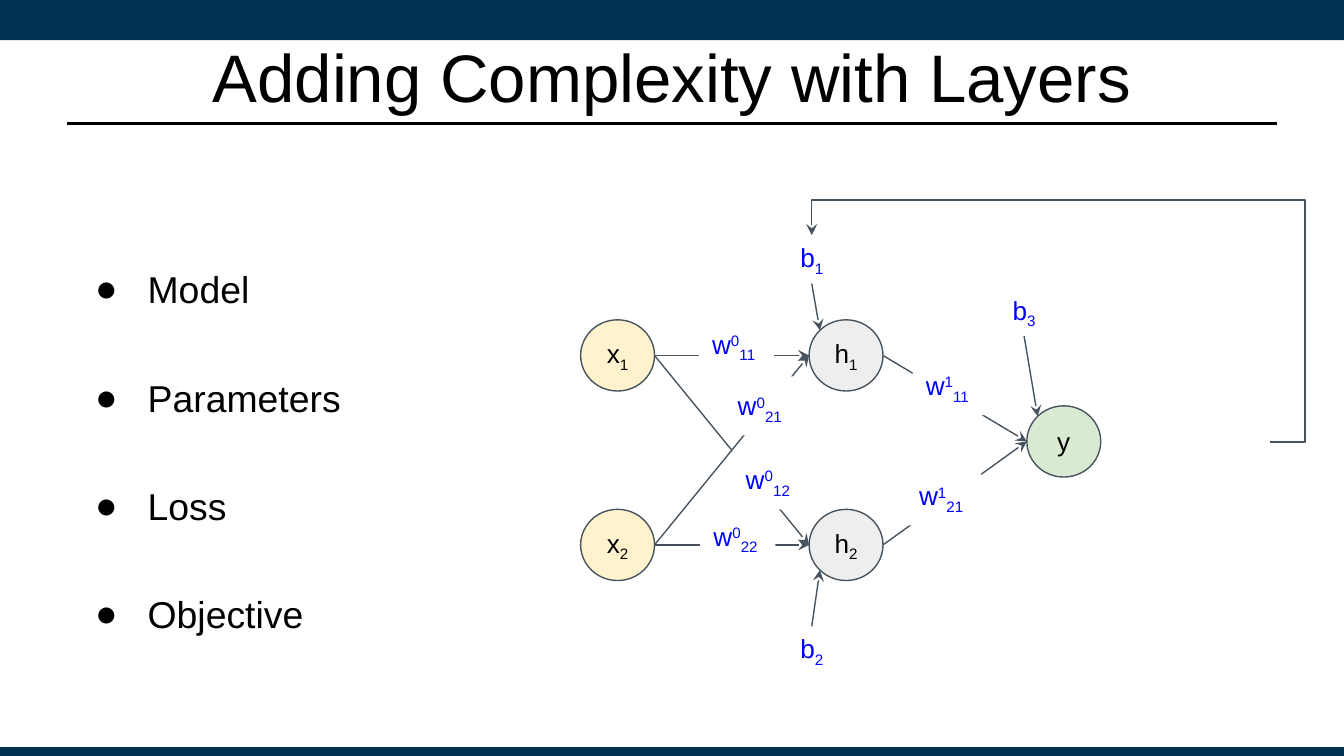
from dataclasses import dataclass

from lxml import etree
from pptx import Presentation
from pptx import util as u
from pptx.dml.color import RGBColor
from pptx.enum import shapes, text
from pptx.oxml.ns import qn

NAVY = RGBColor(0x00, 0x32, 0x52)
BLACK = RGBColor(0x00, 0x00, 0x00)
WHITE = RGBColor(0xFF, 0xFF, 0xFF)
BLUE = RGBColor(0x00, 0x00, 0xFF)
SLATE = RGBColor(0x46, 0x53, 0x5E)
CREAM = RGBColor(0xFF, 0xF2, 0xCC)
GREY = RGBColor(0xEE, 0xEE, 0xEE)
GREEN = RGBColor(0xD9, 0xEA, 0xD3)
FONT = "Arial"
NODE_W, NODE_H = 0.55, 0.53
BIAS_W, BIAS_H = 0.38, 0.36
WEIGHT_W, WEIGHT_H = 0.56, 0.44
DIAGONAL = (1 - 0.5 ** 0.5) / 2


@dataclass(frozen=True)
class Label:
    base: str
    sub: str = ""
    sup: str = ""


@dataclass(frozen=True)
class Node:
    label: Label
    x: float
    y: float
    fill: RGBColor

    @property
    def left(self) -> tuple[float, float]:
        return self.x, self.y + NODE_H / 2

    @property
    def right(self) -> tuple[float, float]:
        return self.x + NODE_W, self.y + NODE_H / 2

    @property
    def upper_left(self) -> tuple[float, float]:
        return self.x + NODE_W * DIAGONAL, self.y + NODE_H * DIAGONAL

    @property
    def lower_left(self) -> tuple[float, float]:
        return self.x + NODE_W * DIAGONAL, self.y + NODE_H * (1 - DIAGONAL)


@dataclass(frozen=True)
class Bias:
    sub: str
    x: float
    y: float
    site: int
    target: tuple[float, float]


@dataclass(frozen=True)
class Weight:
    layer: str
    sub: str
    x: float
    y: float


X1 = Node(Label("x", "1"), 4.32, 2.38, CREAM)
X2 = Node(Label("x", "2"), 4.32, 3.79, CREAM)
H1 = Node(Label("h", "1"), 6.02, 2.38, GREY)
H2 = Node(Label("h", "2"), 6.02, 3.79, GREY)
Y = Node(Label("y"), 7.64, 3.02, GREEN)
LAYERS = [[X1, X2], [H1, H2], [Y]]
BIASES = [
    Bias("1", 5.85, 1.75, 2, H1.upper_left),
    Bias("2", 5.85, 4.66, 0, H2.lower_left),
    Bias("3", 7.43, 2.14, 2, Y.upper_left),
]
WEIGHTS = [
    Weight("0", "11", 5.2, 2.34),
    Weight("0", "22", 5.21, 3.77),
    Weight("0", "21", 5.39, 2.8),
    Weight("0", "12", 5.45, 3.35),
    Weight("1", "11", 6.79, 2.65),
    Weight("1", "21", 6.74, 3.47),
]
TOPICS = ["Model", "Parameters", "Loss", "Objective"]


def set_font(font, size: float, color: RGBColor) -> None:
    font.name = FONT
    font.size = u.Pt(size)
    font.color.rgb = color


def add_block(s, kind, x: float, y: float, w: float, h: float,
              fill: RGBColor, line: RGBColor | None = None):
    sp = s.shapes.add_shape(kind, u.Inches(x), u.Inches(y), u.Inches(w), u.Inches(h))
    sp.shadow.inherit = False
    sp.fill.solid()
    sp.fill.fore_color.rgb = fill
    if line is None:
        sp.line.fill.background()
    else:
        sp.line.color.rgb = line
        sp.line.width = u.Pt(0.75)
    return sp


def write_label(sp, label: Label, color: RGBColor, centred: bool = True) -> None:
    tf = sp.text_frame
    tf.margin_left = tf.margin_right = tf.margin_top = tf.margin_bottom = u.Inches(0.1)
    tf.word_wrap = not centred
    tf.vertical_anchor = text.MSO_ANCHOR.MIDDLE if centred else text.MSO_ANCHOR.TOP
    p = tf.paragraphs[0]
    p.alignment = text.PP_ALIGN.CENTER if centred else text.PP_ALIGN.LEFT
    for content, baseline in ((label.base, 0), (label.sup, 30000), (label.sub, -25000)):
        if content:
            r = p.add_run()
            r.text = content
            set_font(r.font, 14, color)
            if baseline:
                r.font._element.set("baseline", str(baseline))


def add_line(s, start: tuple[float, float], end: tuple[float, float],
             kind=shapes.MSO_CONNECTOR.STRAIGHT, color: RGBColor = SLATE,
             width: float = 0.75, arrow: bool = True):
    cx = s.shapes.add_connector(kind, *(u.Inches(v) for v in (*start, *end)))
    cx.line.color.rgb = color
    cx.line.width = u.Pt(width)
    if arrow:
        etree.SubElement(cx.line._get_or_add_ln(), qn("a:tailEnd"), type="stealth")
    etree.SubElement(cx._element.spPr, qn("a:effectLst"))
    return cx


def add_feedback(s, start: tuple[float, float], end: tuple[float, float], box) -> None:
    cx = add_line(s, start, end, shapes.MSO_CONNECTOR.ELBOW)
    cx.end_connect(box, 0)
    geom = cx._element.spPr.find(qn("a:prstGeom"))
    geom.set("prst", "bentConnector4")
    guides = geom.get_or_add_avLst()
    for name, value in (("adj1", -7600), ("adj2", 116900)):
        etree.SubElement(guides, qn("a:gd"), name=name, fmla=f"val {value}")


def add_title(s, title: str) -> None:
    sp = s.shapes.add_textbox(u.Inches(0.5), u.Inches(0.25), u.Inches(9), u.Inches(0.63))
    tf = sp.text_frame
    tf.word_wrap = True
    tf.vertical_anchor = text.MSO_ANCHOR.MIDDLE
    tf.text = title
    p = tf.paragraphs[0]
    p.alignment = text.PP_ALIGN.CENTER
    set_font(p.runs[0].font, 36, BLACK)


def add_topics(s, topics: list[str]) -> None:
    sp = s.shapes.add_textbox(u.Inches(0.5), u.Inches(1.55), u.Inches(3.31), u.Inches(2.98))
    tf = sp.text_frame
    tf.word_wrap = True
    tf.margin_top = tf.margin_bottom = u.Inches(0.1)
    for i, topic in enumerate(topics):
        p = tf.add_paragraph() if i else tf.paragraphs[0]
        p.text = topic
        p.line_spacing = 2.0
        if i:
            p.space_before = u.Pt(10)
        pPr = p._p.get_or_add_pPr()
        pPr.set("marL", str(u.Inches(0.5)))
        pPr.set("indent", str(u.Inches(-0.39)))
        etree.SubElement(pPr, qn("a:buFont"), typeface=FONT)
        etree.SubElement(pPr, qn("a:buChar"), char="●")
        set_font(p.runs[0].font, 20, BLACK)


def main() -> None:
    prs = Presentation()
    prs.slide_width = u.Inches(10)
    prs.slide_height = prs.slide_width * 9 // 16
    s = prs.slides.add_slide(prs.slide_layouts[6])
    rect, oval = shapes.MSO_SHAPE.RECTANGLE, shapes.MSO_SHAPE.OVAL

    add_block(s, rect, 0, 0, 10, 0.3, NAVY)
    add_block(s, rect, 0, 5.56, 10, 0.08, NAVY)
    add_line(s, (0.5, 0.92), (9.5, 0.92), color=BLACK, width=1.25, arrow=False)
    add_title(s, "Adding Complexity with Layers")
    add_topics(s, TOPICS)

    for layer in LAYERS:
        for node in layer:
            sp = add_block(s, oval, node.x, node.y, NODE_W, NODE_H, node.fill, SLATE)
            write_label(sp, node.label, BLACK)
    for sources, targets in zip(LAYERS, LAYERS[1:]):
        for source in sources:
            for target in targets:
                add_line(s, source.right, target.left)

    boxes = []
    for bias in BIASES:
        sp = add_block(s, rect, bias.x, bias.y, BIAS_W, BIAS_H, WHITE, WHITE)
        write_label(sp, Label("b", bias.sub), BLUE)
        add_line(s, (bias.x, bias.y), bias.target).begin_connect(sp, bias.site)
        boxes.append(sp)
    for weight in WEIGHTS:
        sp = add_block(s, rect, weight.x, weight.y, WEIGHT_W, WEIGHT_H, WHITE)
        write_label(sp, Label("w", weight.sub, weight.layer), BLUE, centred=False)
    add_feedback(s, (9.45, 3.29), (6.04, 1.75), boxes[0])

    prs.save("out.pptx")


if __name__ == "__main__":
    main()
